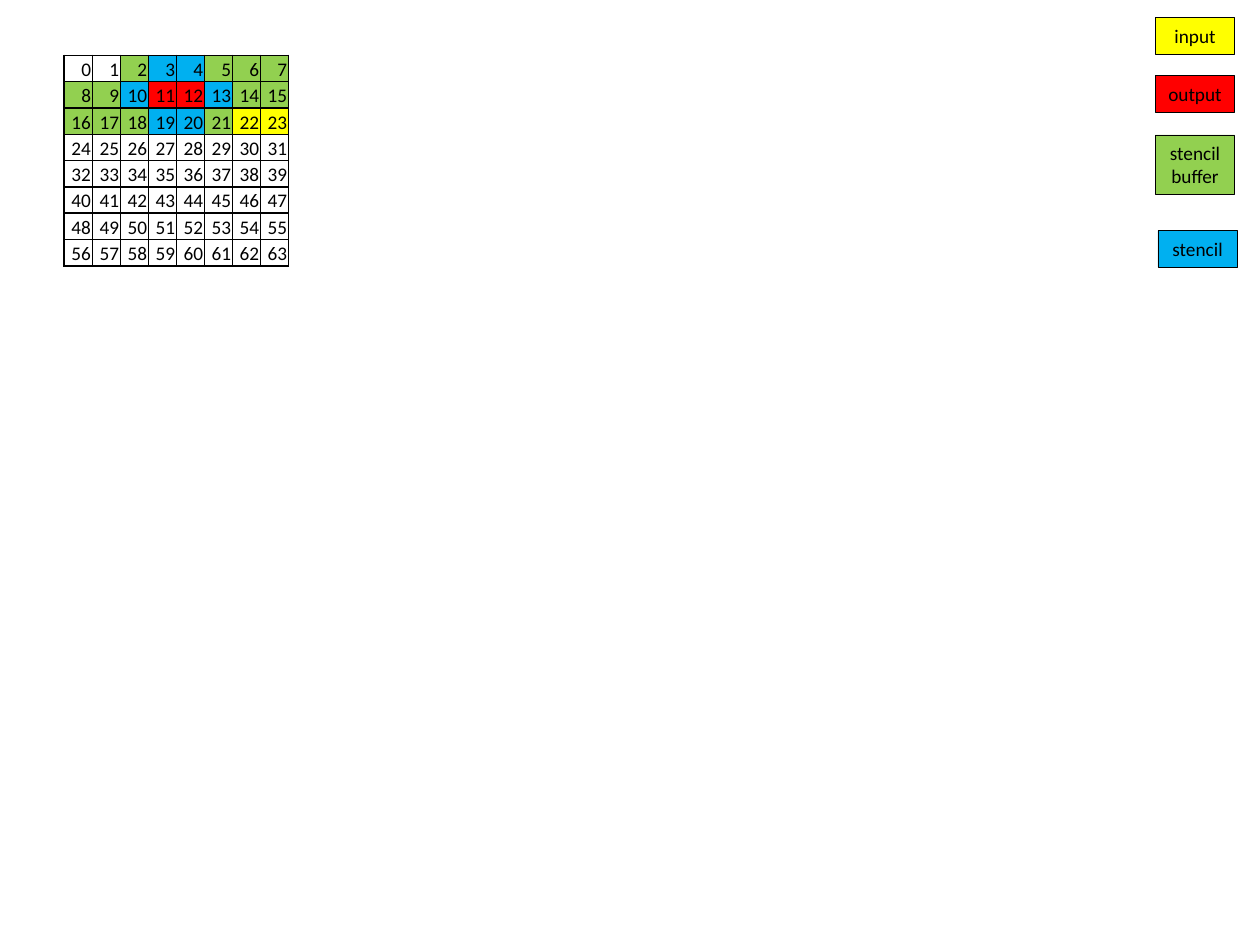
"""Build a slide with a stencil sweep over an 8 by 8 grid and its legend."""
from lxml.etree import SubElement
from pptx import Presentation
from pptx.dml.color import RGBColor
from pptx.enum.shapes import MSO_SHAPE
from pptx.enum.text import MSO_ANCHOR, MSO_AUTO_SIZE, PP_ALIGN
from pptx.oxml.ns import qn
from pptx.util import Inches, Pt

BLACK = RGBColor(0x00, 0x00, 0x00)
WHITE = RGBColor(0xFF, 0xFF, 0xFF)
YELLOW = RGBColor(0xFF, 0xFF, 0x00)
RED = RGBColor(0xFF, 0x00, 0x00)
GREEN = RGBColor(0x92, 0xD0, 0x50)
BLUE = RGBColor(0x00, 0xB0, 0xF0)

SIZE = 8
INPUT = {22, 23}
OUTPUT = {11, 12}
STENCIL = {3, 4, 10, 13, 19, 20}
BUFFER = set(range(2, 22)) - OUTPUT - STENCIL
CELL_COLORS = {
    number: color
    for numbers, color in ((INPUT, YELLOW), (OUTPUT, RED), (BUFFER, GREEN), (STENCIL, BLUE))
    for number in numbers
}
LEGEND = [
    ("input", YELLOW, 9.17, 0.14, 0.29),
    ("output", RED, 9.17, 0.6, 0.29),
    ("stencil buffer", GREEN, 9.17, 1.07, 0.47),
    ("stencil", BLUE, 9.19, 1.83, 0.29),
]


def write_text(frame, text, alignment):
    frame.text = text
    para = frame.paragraphs[0]
    para.alignment = alignment
    font = para.runs[0].font
    font.name = "Calibri"
    font.size = Pt(11)
    font.color.rgb = BLACK


def add_borders(cell):
    properties = cell._tc.get_or_add_tcPr()
    for side in ("a:lnL", "a:lnR", "a:lnT", "a:lnB"):
        border = SubElement(properties, qn(side), w=str(Pt(1)))
        fill = SubElement(border, qn("a:solidFill"))
        SubElement(fill, qn("a:srgbClr"), val=str(BLACK))


deck = Presentation()
deck.slide_width = Inches(10)
deck.slide_height = Inches(7.5)
page = deck.slides.add_slide(deck.slide_layouts[6])

grid = page.shapes.add_table(
    SIZE, SIZE, Inches(0.51), Inches(0.44), Inches(1.78), Inches(1.67)
).table
grid.first_row = False
grid.horz_banding = False
for number in range(SIZE * SIZE):
    cell = grid.cell(*divmod(number, SIZE))
    cell.margin_left = cell.margin_right = cell.margin_top = Inches(0.01)
    cell.margin_bottom = 0
    cell.vertical_anchor = MSO_ANCHOR.BOTTOM
    add_borders(cell)
    cell.fill.solid()
    cell.fill.fore_color.rgb = CELL_COLORS.get(number, WHITE)
    write_text(cell.text_frame, str(number), PP_ALIGN.RIGHT)

for label, color, left, top, height in LEGEND:
    box = page.shapes.add_shape(
        MSO_SHAPE.RECTANGLE, Inches(left), Inches(top), Inches(0.63), Inches(height)
    )
    box.shadow.inherit = False
    box.fill.solid()
    box.fill.fore_color.rgb = color
    box.line.color.rgb = BLACK
    box.line.width = Pt(0.25)
    frame = box.text_frame
    frame.word_wrap = True
    frame.auto_size = MSO_AUTO_SIZE.SHAPE_TO_FIT_TEXT
    frame.vertical_anchor = MSO_ANCHOR.TOP
    write_text(frame, label, PP_ALIGN.CENTER)

deck.save("out.pptx")
